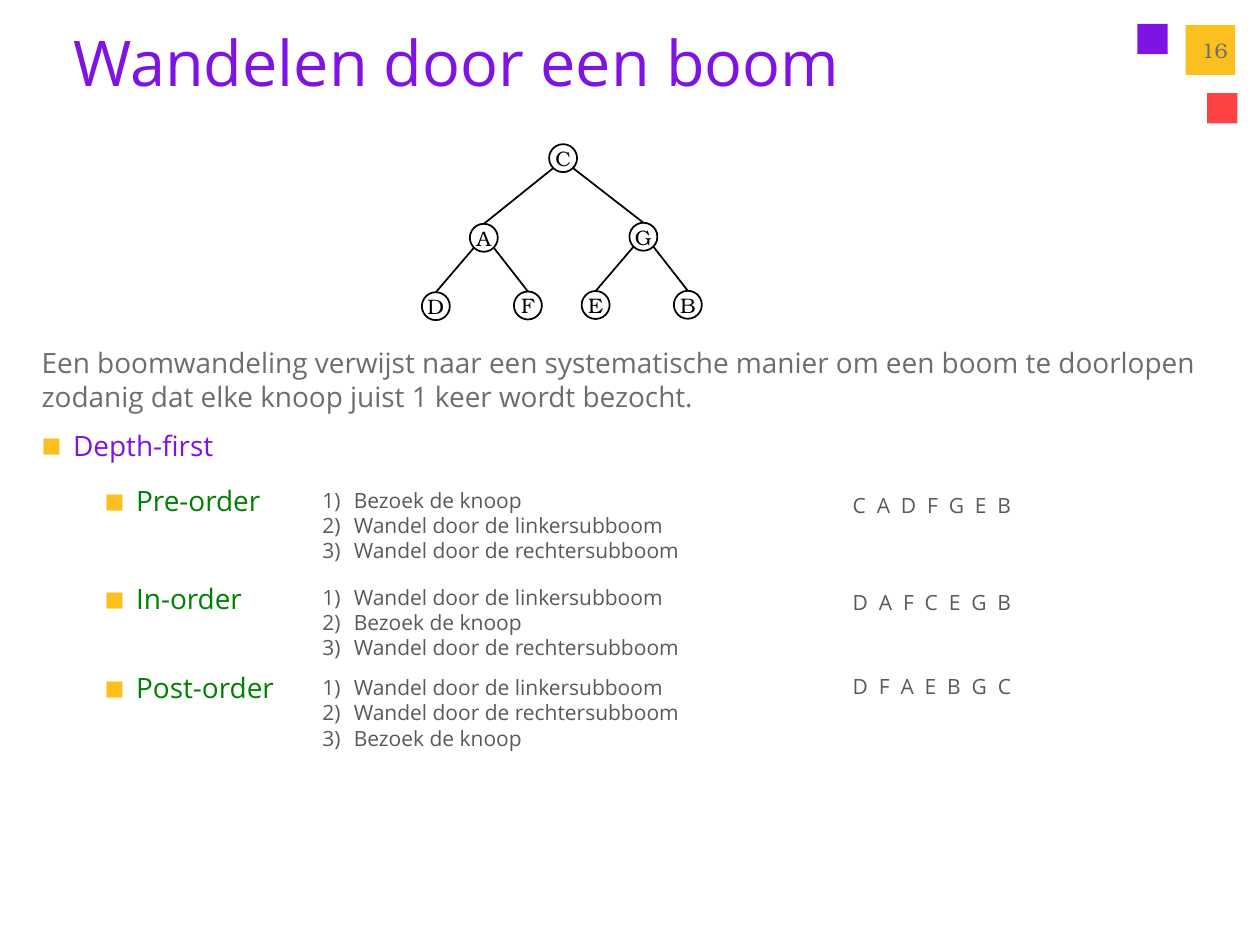
from lxml import etree
from pptx import Presentation
from pptx.dml.color import RGBColor
from pptx.enum.shapes import MSO_CONNECTOR, MSO_SHAPE
from pptx.enum.text import MSO_ANCHOR, MSO_AUTO_SIZE, PP_ALIGN
from pptx.oxml.ns import qn
from pptx.util import Pt

RECTANGLE, OVAL = MSO_SHAPE.RECTANGLE, MSO_SHAPE.OVAL
STRAIGHT = MSO_CONNECTOR.STRAIGHT
TOP, MIDDLE = MSO_ANCHOR.TOP, MSO_ANCHOR.MIDDLE
LEFT, CENTER, RIGHT = PP_ALIGN.LEFT, PP_ALIGN.CENTER, PP_ALIGN.RIGHT
NO_AUTOFIT = MSO_AUTO_SIZE.NONE
SANS, SERIF = "Open Sans", "TeX Gyre Bonum"
PURPLE, YELLOW, RED, GREEN = "7E13E3", "FBC01E", "FD4244", "008000"
GRAY, DARK_GRAY, BLACK = "6D6D6D", "595959", "000000"


def color(value):
    return RGBColor.from_string(value)


def write(paragraph, text, size, font, fill, align=LEFT, spacing=None):
    paragraph.alignment = align
    paragraph.space_before = Pt(0)
    if spacing:
        paragraph.line_spacing = Pt(spacing)
    run = paragraph.add_run()
    run.text = text
    run.font.size = Pt(size)
    run.font.name = font
    run.font.color.rgb = color(fill)


presentation = Presentation()
presentation.slide_width, presentation.slide_height = Pt(720), Pt(540)
slide = presentation.slides.add_slide(presentation.slide_layouts[1])
shapes = slide.shapes
title, body = shapes.title, slide.placeholders[1]

for left, top, size, fill in [
    (650, 13.7, 17.3, PURPLE),
    (689.8, 53.3, 17.3, RED),
    (677.5, 14.4, 28.4, YELLOW),
]:
    square = shapes.add_shape(RECTANGLE, Pt(left), Pt(top), Pt(size), Pt(size))
    square.shadow.inherit = False
    square.fill.solid()
    square.fill.fore_color.rgb = color(fill)
    square.line.fill.background()

for placeholder, left, top, width, height in [
    (title, 34.6, 6.5, 594.7, 60.5),
    (body, 16.6, 193.7, 703.4, 293),
]:
    placeholder.left, placeholder.top = Pt(left), Pt(top)
    placeholder.width, placeholder.height = Pt(width), Pt(height)
    placeholder.text_frame.vertical_anchor = TOP
    placeholder.text_frame.auto_size = NO_AUTOFIT
    placeholder.text_frame.word_wrap = True
write(title.text_frame.paragraphs[0], "Wandelen door een boom", 36, SANS, PURPLE, spacing=46.5)

page_number = shapes.add_textbox(Pt(671.8), Pt(14.4), Pt(36.7), Pt(28.8))
page_number.text_frame.word_wrap = True
page_number.text_frame.vertical_anchor = MIDDLE
write(page_number.text_frame.paragraphs[0], "16", 12, SERIF, GRAY, RIGHT)

radius = 8
centers = {
    "C": (321.8, 90.4),
    "A": (276.5, 135.9),
    "G": (367.7, 135.3),
    "D": (249.1, 175),
    "F": (301.7, 174.6),
    "E": (340.4, 174.3),
    "B": (393.1, 174.2),
}
for parent, children in [("C", "AG"), ("A", "DF"), ("G", "EB")]:
    parent_x, parent_y = centers[parent]
    for child, side in zip(children, (-1, 1)):
        child_x, child_y = centers[child]
        edge = shapes.add_connector(
            STRAIGHT,
            Pt(parent_x + side * radius * 0.71),
            Pt(parent_y + radius * 0.71),
            Pt(child_x),
            Pt(child_y - radius),
        )
        edge.line.color.rgb = color(BLACK)
        edge.line.width = Pt(1)
        etree.SubElement(edge._element.spPr, qn("a:effectLst"))

for letter, (x, y) in centers.items():
    node = shapes.add_shape(OVAL, Pt(x - radius), Pt(y - radius), Pt(2 * radius), Pt(2 * radius))
    node.shadow.inherit = False
    node.fill.background()
    node.line.color.rgb = color(BLACK)
    node.line.width = Pt(1)
    frame = node.text_frame
    frame.margin_left = frame.margin_right = frame.margin_top = frame.margin_bottom = 0
    frame.word_wrap = False
    frame.vertical_anchor = MIDDLE
    write(frame.paragraphs[0], letter, 12, SERIF, BLACK, CENTER)

definition = (
    "Een boomwandeling verwijst naar een systematische manier om een boom "
    "te doorlopen zodanig dat elke knoop juist 1 keer wordt bezocht."
)
for index, (text, level, before, fill) in enumerate([
    (definition, 0, 0, GRAY),
    ("Depth-first", 0, 8, PURPLE),
    ("Pre-order", 1, 12, GREEN),
    ("In-order", 1, 36.6, GREEN),
    ("Post-order", 1, 31.4, GREEN),
]):
    frame = body.text_frame
    paragraph = frame.add_paragraph() if index else frame.paragraphs[0]
    write(paragraph, text, 16, SANS, fill, spacing=19.5)
    paragraph.level = level
    paragraph.space_before = Pt(before)
    properties = paragraph._p.get_or_add_pPr()
    properties.set("marL", str(Pt(18 + 36 * level if index else 0)))
    properties.set("indent", str(Pt(-18 if index else 0)))
    if index:
        bullet_color = etree.SubElement(properties, qn("a:buClr"))
        etree.SubElement(bullet_color, qn("a:srgbClr"), val=YELLOW)
        etree.SubElement(properties, qn("a:buSzPct"), val="75000")
        etree.SubElement(properties, qn("a:buFont"), typeface=SANS)
        etree.SubElement(properties, qn("a:buChar"), char="■")
    else:
        etree.SubElement(properties, qn("a:buNone"))

visit = "Bezoek de knoop"
walk_left = "Wandel door de linkersubboom"
walk_right = "Wandel door de rechtersubboom"
for steps_top, steps, order_top, order in [
    (274.9, (visit, walk_left, walk_right), 277.8, "C  A  D  F  G  E  B"),
    (330.3, (walk_left, visit, walk_right), 333.2, "D  A  F  C  E  G  B"),
    (382, (walk_left, walk_right, visit), 381.4, "D  F  A  E  B  G  C"),
]:
    steps_box = shapes.add_textbox(Pt(177.1), Pt(steps_top), Pt(244), Pt(51))
    steps_box.text_frame.word_wrap = True
    for index, step in enumerate(steps):
        frame = steps_box.text_frame
        paragraph = frame.add_paragraph() if index else frame.paragraphs[0]
        write(paragraph, step, 12, SANS, DARK_GRAY, spacing=14.4)
        properties = paragraph._p.get_or_add_pPr()
        properties.set("marL", str(Pt(18)))
        properties.set("indent", str(Pt(-18)))
        etree.SubElement(properties, qn("a:buFont"), typeface=SANS)
        etree.SubElement(properties, qn("a:buAutoNum"), type="arabicParenR")
    order_box = shapes.add_textbox(Pt(480.2), Pt(order_top), Pt(130.3), Pt(21.6))
    order_box.text_frame.word_wrap = True
    write(order_box.text_frame.paragraphs[0], order, 12, SANS, DARK_GRAY, spacing=14.4)

presentation.save("out.pptx")
